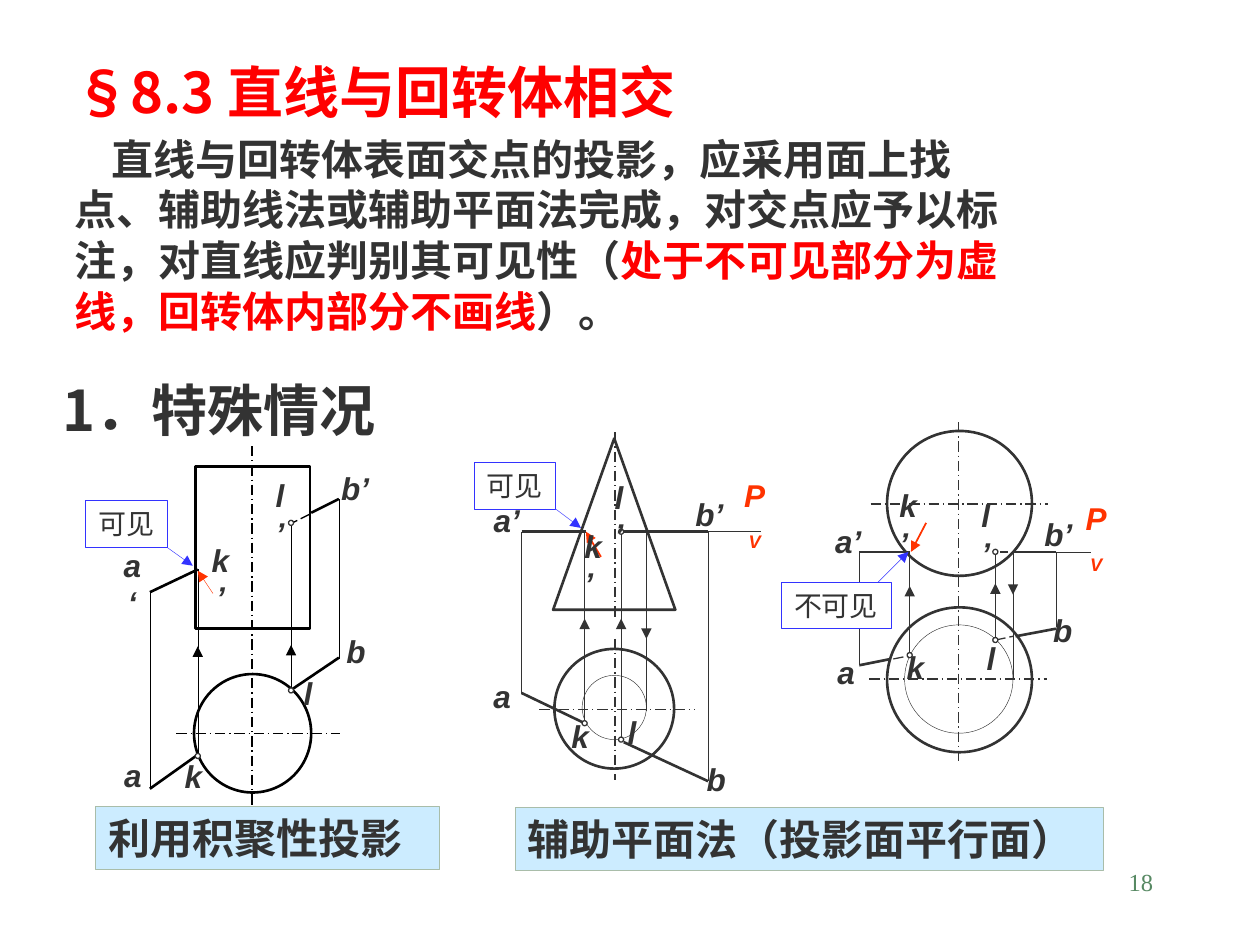
from lxml import etree
from pptx import Presentation
from pptx.dml.color import RGBColor
from pptx.enum.dml import MSO_LINE
from pptx.enum.shapes import MSO_CONNECTOR, MSO_SHAPE
from pptx.enum.text import MSO_ANCHOR, PP_ALIGN
from pptx.oxml.ns import qn
from pptx.util import Inches, Pt

STRAIGHT = MSO_CONNECTOR.STRAIGHT
RECT, OVAL, TRIANGLE = MSO_SHAPE.RECTANGLE, MSO_SHAPE.OVAL, MSO_SHAPE.ISOSCELES_TRIANGLE
POINT = MSO_SHAPE.FLOWCHART_CONNECTOR
AXIS_DASH, HIDDEN_DASH = MSO_LINE.LONG_DASH_DOT, MSO_LINE.LONG_DASH
LEFT, CENTER, RIGHT = PP_ALIGN.LEFT, PP_ALIGN.CENTER, PP_ALIGN.RIGHT
TOP, MIDDLE = MSO_ANCHOR.TOP, MSO_ANCHOR.MIDDLE
SANS, CJK, SERIF = "Arial", "Noto Sans CJK SC", "Times New Roman"

COLORS = {"ink": "333333", "black": "000000", "red": "FF0000", "orange": "FF3300",
          "blue": "3333FF", "white": "FFFFFF", "band": "CCECFF",
          "band_edge": "A9BDA9", "number": "578963"}

HEADING = "§8.3 直线与回转体相交"
INTRO = [
    [("直线与回转体表面交点的投影，应采用面上找", "ink")],
    [("点、辅助线法或辅助平面法完成，对交点应予以标", "ink")],
    [("注，对直线应判别其可见性（", "ink"), ("处于不可见部分为虚", "red")],
    [("线，回转体内部分不画线", "red"), ("）。", "ink")],
]
SECTION = "1．特殊情况"
CAPTIONS = [("利用积聚性投影", 0.76, 6.4, 2.73), ("辅助平面法（投影面平行面）", 4.09, 6.41, 4.67)]
CALLOUTS = [
    ("可见", (0.68, 3.97, 0.65), (1.32, 4.34, 1.53, 4.49)),
    ("可见", (3.76, 3.67, 0.65), (4.41, 4.04, 4.61, 4.19)),
    ("不可见", (6.2, 4.62, 0.87), (6.96, 4.63, 7.21, 4.38)),
]
PLANE_LABELS = [(5.77, 3.88), (8.48, 4.06)]

LINE_STYLES = {
    "axis": (0.75, AXIS_DASH, False),
    "thick": (1.5, None, False),
    "thin": (0.25, None, False),
    "arrow": (0.25, None, True),
    "hidden": (0.75, HIDDEN_DASH, False),
}

CYLINDER = {
    "color": "black",
    "outlines": [(RECT, 1.55, 3.7, 0.91, 1.29, 1.5), (OVAL, 1.54, 5.35, 0.93, 0.94, 1.5)],
    "axis": [(2, 3.54, 2, 6.55), (1.4, 5.82, 2.7, 5.82)],
    "thick": [(1.19, 6.26, 1.57, 5.99), (1.19, 4.7, 1.57, 4.52),
              (2.47, 4.07, 2.69, 3.96), (2.69, 5.22, 2.32, 5.47)],
    "thin": [(1.19, 6.26, 1.19, 4.7), (2.69, 5.23, 2.69, 3.96),
             (1.57, 5.14, 1.57, 4.52), (2.31, 5.15, 2.31, 4.15)],
    "arrow": [(1.57, 6.01, 1.57, 5.13), (2.31, 5.48, 2.31, 5.12)],
    "hidden": [(2.46, 4.08, 2.32, 4.15)],
    "pointer": (1.69, 4.71, 1.57, 4.53, 0.25),
    "points": [(2.31, 5.48), (1.57, 6), (2.31, 4.15)],
    "centred": [("a‘", 0.86, 4.43), ("k’", 1.56, 4.39), ("b", 2.62, 4.97),
                ("a", 0.85, 5.95), ("l", 2.24, 5.3), ("k", 1.33, 5.96)],
    "left": [("b’", 2.61, 3.67), ("l’", 2.09, 3.88)],
}
CONE = {
    "color": "ink",
    "outlines": [(OVAL, 4.4, 5.15, 0.95, 0.95, 1.5), (TRIANGLE, 4.39, 3.48, 0.97, 1.36, 1.5),
                 (OVAL, 4.62, 5.36, 0.51, 0.51, 0.25)],
    "axis": [(4.28, 5.63, 5.52, 5.63), (4.88, 3.43, 4.88, 4.91), (4.88, 5.07, 4.88, 6.19)],
    "thick": [(4.14, 5.5, 4.64, 5.74), (4.14, 4.22, 4.65, 4.22),
              (4.95, 4.22, 5.62, 4.22), (4.95, 5.89, 5.62, 6.2)],
    "thin": [(4.14, 4.22, 4.14, 5.51), (5.62, 4.22, 5.62, 6.2), (5.62, 4.22, 6.04, 4.22),
             (5.13, 5.03, 5.13, 5.64), (4.64, 4.92, 4.64, 4.22), (4.93, 4.95, 4.93, 4.21)],
    "arrow": [(4.93, 5.88, 4.93, 4.91), (4.64, 5.74, 4.64, 4.91), (5.13, 4.22, 5.13, 5.07)],
    "hidden": [],
    "pointer": (4.77, 4.42, 4.65, 4.22, 1),
    "points": [(4.93, 4.22), (4.93, 5.87), (4.64, 5.74)],
    "centred": [("a", 3.78, 5.32), ("b", 5.48, 5.98), ("l", 4.81, 5.61), ("k", 4.4, 5.64)],
    "left": [("a’", 3.82, 3.93), ("b’", 5.42, 3.88), ("k’", 4.54, 4.28), ("l’", 4.78, 3.89)],
}
SPHERE = {
    "color": "ink",
    "outlines": [(OVAL, 7.04, 3.42, 1.15, 1.15, 1.5), (OVAL, 7.04, 4.82, 1.15, 1.15, 1.5),
                 (OVAL, 7.18, 4.96, 0.86, 0.86, 0.25)],
    "axis": [(7.61, 3.35, 7.61, 6.07), (6.91, 4, 8.32, 4), (6.9, 5.39, 8.31, 5.39)],
    "thick": [(8.06, 5.05, 8.38, 4.99), (6.82, 5.28, 7.07, 5.23),
              (6.82, 4.38, 7.19, 4.38), (8.04, 4.38, 8.38, 4.38)],
    "thin": [(6.82, 4.38, 6.82, 5.27), (8.38, 4.38, 8.38, 4.98), (8.31, 4.38, 8.66, 4.38),
             (8.04, 4.62, 8.04, 5.39), (7.22, 4.7, 7.22, 4.38), (7.9, 4.67, 7.9, 4.38)],
    "arrow": [(7.22, 5.21, 7.22, 4.65), (7.9, 5.07, 7.9, 4.63), (8.04, 4.38, 8.04, 4.72)],
    "hidden": [(7.09, 5.23, 7.24, 5.2), (7.9, 5.08, 8.04, 5.05),
               (7.18, 4.38, 7.22, 4.38), (7.94, 4.38, 8, 4.38)],
    "pointer": (7.35, 4.15, 7.23, 4.38, 1),
    "points": [(7.22, 5.2), (7.9, 5.08), (7.9, 4.38)],
    "centred": [("a", 6.51, 5.13), ("b", 8.23, 4.8), ("k", 7.06, 5.09), ("l", 7.66, 5.02)],
    "left": [("a’", 6.53, 4.09), ("b’", 8.19, 4.04), ("k’", 7.04, 3.96), ("l’", 7.69, 4.04)],
}
LABEL_WIDTHS = {"a‘": 0.38, "k’": 0.38, "l’": 0.33, "a’": 0.48, "b’": 0.48}
POINT_SIZE = 0.04

prs = Presentation()
prs.slide_width, prs.slide_height = Inches(10), Inches(7.5)
slide = prs.slides.add_slide(prs.slide_layouts[6])


def rgb(name):
    return RGBColor.from_string(COLORS[name])


def add_run(paragraph, text, size, color, font=SANS, bold=False, italic=False):
    run = paragraph.add_run()
    run.text = text
    run.font.size, run.font.name = Pt(size), font
    run.font.bold, run.font.italic = bold, italic
    run.font.color.rgb = rgb(color)
    etree.SubElement(run.font._element, qn("a:ea")).set("typeface", CJK)
    return run


def set_frame(shape, align=LEFT, anchor=MIDDLE):
    frame = shape.text_frame
    frame.word_wrap, frame.vertical_anchor = True, anchor
    frame.paragraphs[0].alignment = align
    return frame


def add_text(x, y, w, h, align=LEFT, anchor=MIDDLE):
    box = slide.shapes.add_textbox(Inches(x), Inches(y), Inches(w), Inches(h))
    return set_frame(box, align, anchor)


def add_outline(kind, x, y, w, h, width, color, fill=None):
    shape = slide.shapes.add_shape(kind, Inches(x), Inches(y), Inches(w), Inches(h))
    shape.shadow.inherit = False
    if fill:
        shape.fill.solid()
        shape.fill.fore_color.rgb = rgb(fill)
    else:
        shape.fill.background()
    shape.line.color.rgb, shape.line.width = rgb(color), Pt(width)
    return shape


def add_line(ends, color, width, dash=None, arrow=False):
    line = slide.shapes.add_connector(STRAIGHT, *(Inches(v) for v in ends))
    line.line.color.rgb, line.line.width = rgb(color), Pt(width)
    if dash:
        line.line.dash_style = dash
    properties = line._element.spPr
    if arrow:
        etree.SubElement(properties.find(qn("a:ln")), qn("a:tailEnd")).set("type", "triangle")
    etree.SubElement(properties, qn("a:effectLst"))


def add_figure(figure):
    for outline in figure["outlines"]:
        add_outline(*outline, figure["color"])
    for style, (width, dash, arrow) in LINE_STYLES.items():
        for ends in figure[style]:
            add_line(ends, figure["color"], width, dash, arrow)
    *ends, width = figure["pointer"]
    add_line(ends, "orange", width, arrow=True)
    for x, y in figure["points"]:
        add_outline(POINT, x - POINT_SIZE / 2, y - POINT_SIZE / 2,
                    POINT_SIZE, POINT_SIZE, 0.75, "ink", "white")
    for group, align in (("centred", CENTER), ("left", LEFT)):
        for label, x, y in figure[group]:
            frame = add_text(x, y, LABEL_WIDTHS.get(label, 0.41), 0.4, align)
            add_run(frame.paragraphs[0], label, 18, "ink", bold=True, italic=True)


intro = add_text(0.49, 0.39, 9.47, 2.34)
intro.paragraphs[0].line_spacing = Pt(38.4)
add_run(intro.paragraphs[0], HEADING, 32, "red", CJK, True)
for index, pieces in enumerate(INTRO):
    paragraph = intro.add_paragraph()
    paragraph.line_spacing = Pt(28.9)
    if index == 0:
        paragraph.space_before = Pt(4.8)
        paragraph._p.get_or_add_pPr().set("indent", str(Inches(0.3)))
    for text, color in pieces:
        add_run(paragraph, text, 24, color, CJK, True)

add_run(add_text(0.4, 2.93, 9.6, 0.63).paragraphs[0], SECTION, 32, "ink", CJK, True)

for figure in (CYLINDER, CONE, SPHERE):
    add_figure(figure)

for x, y in PLANE_LABELS:
    plane = add_text(x, y, 0.44, 0.4, CENTER).paragraphs[0]
    add_run(plane, "P", 18, "orange", bold=True, italic=True)
    subscript = add_run(plane, "V", 18, "orange", bold=True, italic=True)
    subscript.font._element.set("baseline", "-10000")

for text, (x, y, w), leader in CALLOUTS:
    add_line(leader, "blue", 0.25, arrow=True)
    callout = add_outline(RECT, x, y, w, 0.37, 0.25, "blue", "white")
    frame = set_frame(callout, CENTER)
    frame.word_wrap = False
    add_run(frame.paragraphs[0], text, 16, "ink", SERIF)

for text, x, y, w in CAPTIONS:
    caption = add_outline(RECT, x, y, w, 0.5, 0.25, "band_edge", "band")
    add_run(set_frame(caption).paragraphs[0], text, 24, "ink", SERIF, True)

add_run(add_text(7.17, 6.83, 2.08, 0.5, RIGHT, TOP).paragraphs[0], "18", 14, "number", SERIF)

prs.save("out.pptx")
